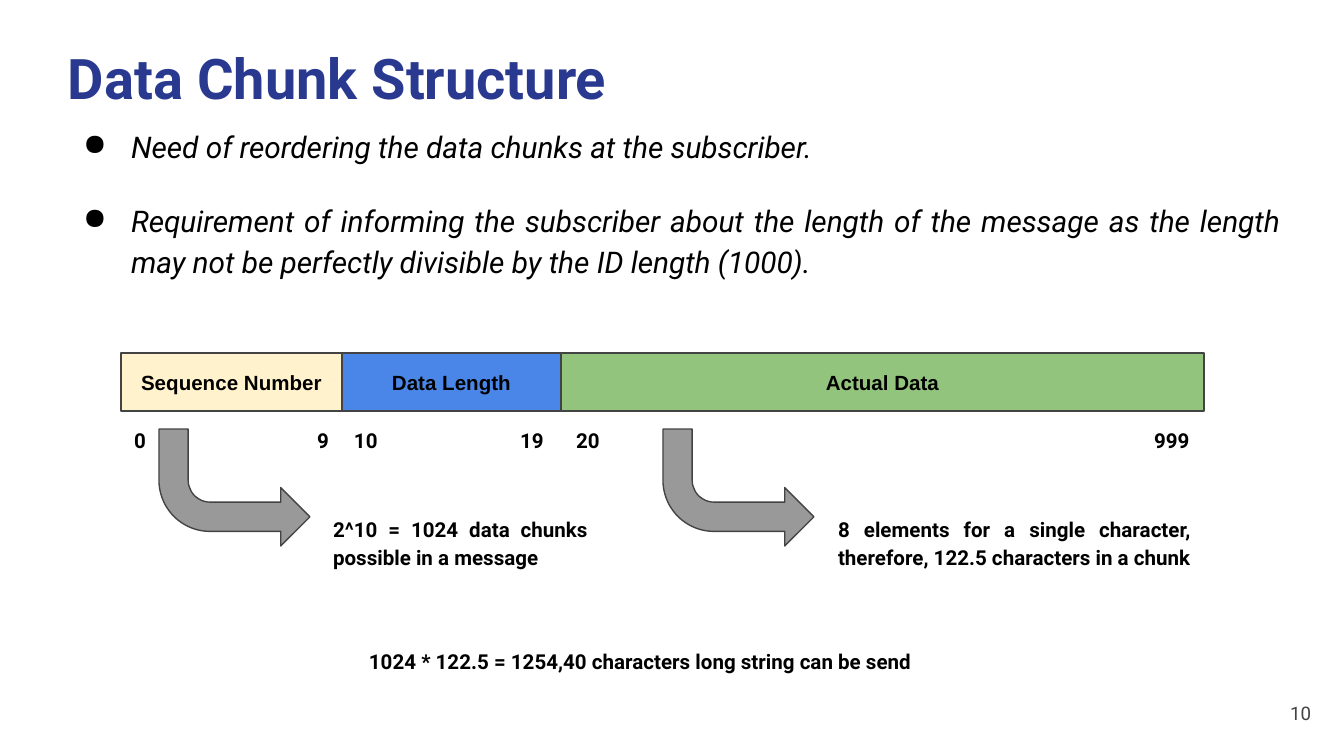
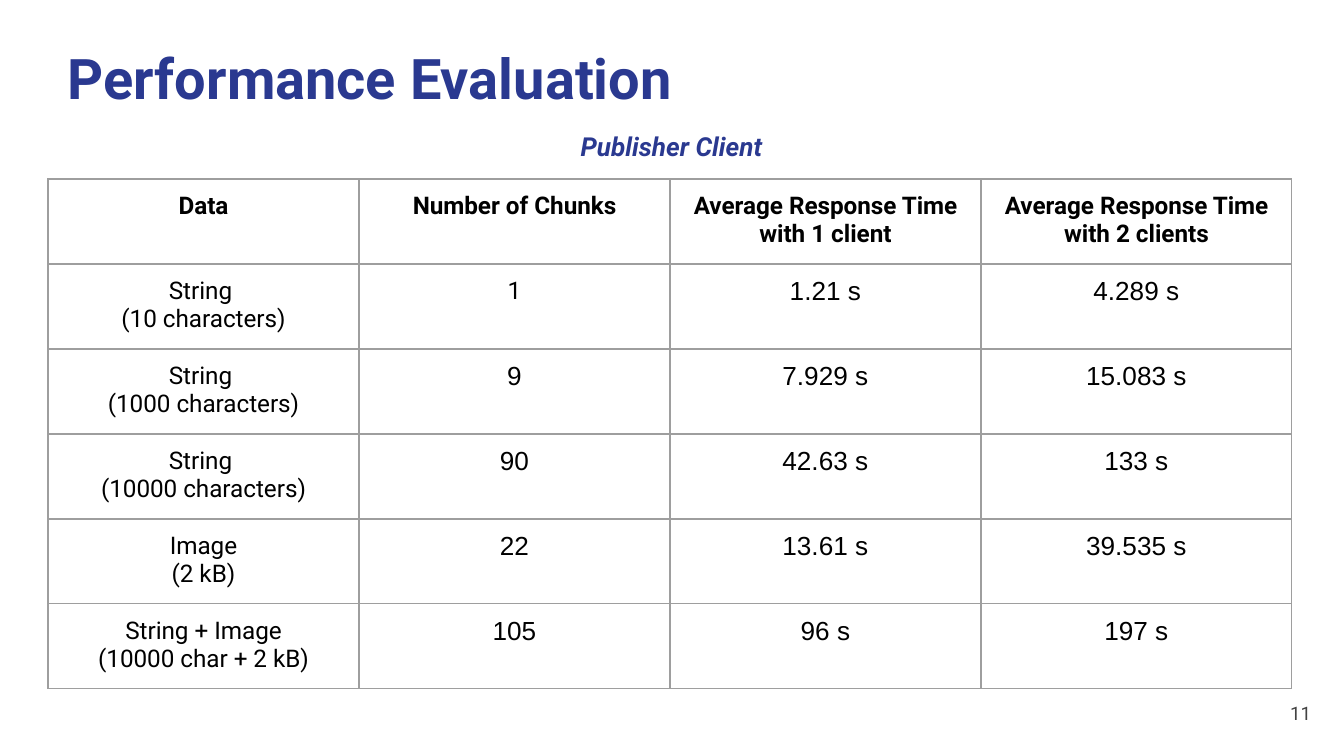
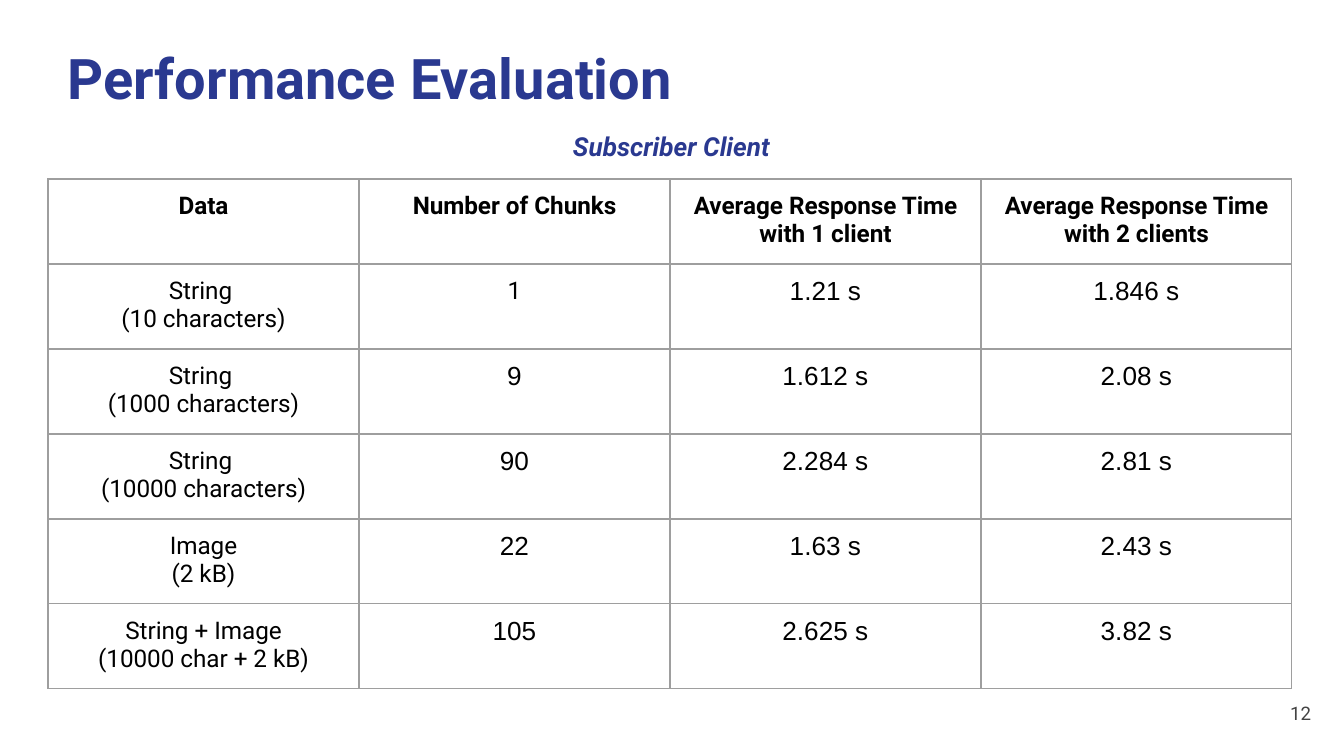
"""Build three slides on data chunk structure and client response times."""
import dataclasses

import lxml.etree
import pptx
import pptx.dml.color
import pptx.enum.shapes
import pptx.enum.text
import pptx.oxml.ns
import pptx.util

ALIGN = pptx.enum.text.PP_ALIGN
SHAPE = pptx.enum.shapes.MSO_SHAPE

CHUNK_TITLE = "Data Chunk Structure"
CHUNK_POINTS = [
    "Need of reordering the data chunks at the subscriber.",
    "Requirement of informing the subscriber about the length of the message "
    "as the length may not be perfectly divisible by the ID length (1000).",
]
FIELDS = [("Sequence Number", 221, "FFF2CC"), ("Data Length", 219, "4A86E8"),
          ("Actual Data", 643, "93C47D")]
BIT_INDEXES = [("0", 121, 39), ("9", 304, 39), ("10", 341, 54),
               ("19", 507, 54), ("20", 563, 54), ("999", 1141, 63)]
ARROW_LEFTS = [159, 663]
CHUNK_NOTES = [
    ("2^10 = 1024 data chunks possible in a message", (320, 500, 281, 81)),
    ("8 elements for a single character, therefore, 122.5 characters in a chunk",
     (825, 500, 379, 81)),
    ("1024 * 122.5 = 1254,40 characters long string can be send", (356, 632, 581, 52)),
]

RESULTS_TITLE = "Performance Evaluation"
HEADER = ["Data", "Number of Chunks", "Average Response Time\nwith 1 client",
          "Average Response Time\nwith 2 clients"]
PAYLOADS = [("String \n(10 characters)", "1"), ("String \n(1000 characters)", "9"),
            ("String \n(10000 characters)", "90"), ("Image\n(2 kB)", "22"),
            ("String + Image\n(10000 char + 2 kB)", "105")]
RESPONSE_TIMES = {
    "Publisher Client": [("1.21 s", "4.289 s"), ("7.929 s", "15.083 s"),
                         ("42.63 s", "133 s"), ("13.61 s", "39.535 s"),
                         ("96 s", "197 s")],
    "Subscriber Client": [("1.21 s", "1.846 s"), ("1.612 s", "2.08 s"),
                          ("2.284 s", "2.81 s"), ("1.63 s", "2.43 s"),
                          ("2.625 s", "3.82 s")],
}


@dataclasses.dataclass(frozen=True)
class Style:
    size: int
    name: str = "Roboto"
    color: str = "000000"
    bold: bool = False
    italic: bool = False


class Theme:
    background = "FFFFFF"
    outline = "434343"
    arrow = "999999"
    grid = "9E9E9E"
    line_width = 0.75
    title = Style(30, color="2A3990", bold=True)
    subtitle = Style(14, color="2A3990", bold=True, italic=True)
    number = Style(10, color="434343")
    bullet = Style(16, italic=True)
    field = Style(11, "Arial", bold=True)
    note = Style(11, bold=True)
    header = Style(13, bold=True)
    label = Style(13)
    value = Style(14, "Arial")


def px(n):
    return pptx.util.Emu(round(n * 9144000 / 1344))


def rgb(color):
    return pptx.dml.color.RGBColor.from_string(color)


def write(tf, text, style, align, spaced=False):
    tf.text = text
    for p in tf.paragraphs:
        p.alignment = align
        p.font.name, p.font.size = style.name, pptx.util.Pt(style.size)
        p.font.bold, p.font.italic = style.bold, style.italic
        p.font.color.rgb = rgb(style.color)
        if spaced:
            p.line_spacing = 1.15
            p.space_before = p.space_after = pptx.util.Pt(2)


def set_frame(tf, middle=False):
    tf.word_wrap = True
    tf.margin_left = tf.margin_right = tf.margin_top = tf.margin_bottom = px(13)
    anchor = pptx.enum.text.MSO_ANCHOR
    tf.vertical_anchor = anchor.MIDDLE if middle else anchor.TOP


def add_text(s, text, box, style, align, spaced=False, middle=False):
    tf = s.shapes.add_textbox(*map(px, box)).text_frame
    set_frame(tf, middle)
    if spaced:
        tf.auto_size = pptx.enum.text.MSO_AUTO_SIZE.SHAPE_TO_FIT_TEXT
    write(tf, text, style, align, spaced)
    return tf


def add_shape(s, kind, box, fill):
    sp = s.shapes.add_shape(kind, *map(px, box))
    sp.shadow.inherit = False
    sp.fill.solid()
    sp.fill.fore_color.rgb = rgb(fill)
    sp.line.color.rgb = rgb(Theme.outline)
    sp.line.width = pptx.util.Pt(Theme.line_width)
    return sp


def add_slide(prs, title, number):
    s = prs.slides.add_slide(prs.slide_layouts[6])
    s.background.fill.solid()
    s.background.fill.fore_color.rgb = rgb(Theme.background)
    add_text(s, title, (55, 31, 1243, 89), Theme.title, ALIGN.LEFT)
    add_text(s, str(number), (1243, 684, 81, 58), Theme.number, ALIGN.RIGHT, middle=True)
    return s


def add_bullets(s, points, box):
    tf = add_text(s, "\n".join(points), box, Theme.bullet, ALIGN.JUSTIFY, spaced=True)
    for p in tf.paragraphs:
        pPr = p._p.get_or_add_pPr()
        pPr.set("marL", str(px(67)))
        pPr.set("indent", str(px(-48)))
        bullet = lxml.etree.Element(pptx.oxml.ns.qn("a:buChar"), char="●")
        pPr.find(pptx.oxml.ns.qn("a:defRPr")).addprevious(bullet)
    for p in tf.paragraphs[1:]:
        p.space_before = pptx.util.Pt(15.5)


def add_chunk_slide(prs, number):
    s = add_slide(prs, CHUNK_TITLE, number)
    add_bullets(s, CHUNK_POINTS, (51, 110, 1243, 180))
    left = 121
    for name, width, fill in FIELDS:
        sp = add_shape(s, SHAPE.RECTANGLE, (left, 353, width, 58), fill)
        set_frame(sp.text_frame, middle=True)
        write(sp.text_frame, name, Theme.field, ALIGN.CENTER)
        left += width
    indexes = [(text, (x, 411, width, 52)) for text, x, width in BIT_INDEXES]
    for text, box in indexes + CHUNK_NOTES:
        add_text(s, text, box, Theme.note, ALIGN.JUSTIFY, spaced=True)
    for x in ARROW_LEFTS:
        sp = add_shape(s, SHAPE.BENT_ARROW, (x, 429, 151, 117), Theme.arrow)
        sp.rotation = 180
        sp.element.spPr.get_or_add_xfrm().set("flipH", "1")


def add_borders(cell):
    qn = pptx.oxml.ns.qn
    tcPr = cell._tc.get_or_add_tcPr()
    for side in ("a:lnL", "a:lnR", "a:lnT", "a:lnB"):
        ln = lxml.etree.SubElement(tcPr, qn(side), w=str(pptx.util.Pt(Theme.line_width)))
        fill = lxml.etree.SubElement(ln, qn("a:solidFill"))
        lxml.etree.SubElement(fill, qn("a:srgbClr"), val=Theme.grid)


def cell_style(row, col):
    if row == 0:
        return Theme.header
    return Theme.label if col == 0 or (row, col) == (1, 1) else Theme.value


def add_results_slide(prs, number, client, times):
    s = add_slide(prs, RESULTS_TITLE, number)
    rows = [HEADER] + [payload + pair for payload, pair in zip(PAYLOADS, times)]
    box = (48, 179, 311 * len(HEADER), 85 * len(rows))
    table = s.shapes.add_table(len(rows), len(HEADER), *map(px, box)).table
    table.first_row = table.horz_banding = False
    for r, row in enumerate(rows):
        for c, text in enumerate(row):
            cell = table.cell(r, c)
            cell.margin_left = cell.margin_right = px(13)
            cell.margin_top = cell.margin_bottom = px(13)
            add_borders(cell)
            cell.fill.background()
            write(cell.text_frame, text, cell_style(r, c), ALIGN.CENTER)
    add_text(s, client, (472, 113, 399, 59), Theme.subtitle, ALIGN.CENTER, spaced=True)


def main():
    prs = pptx.Presentation()
    prs.slide_width, prs.slide_height = px(1344), px(756)
    add_chunk_slide(prs, 10)
    for number, (client, times) in enumerate(RESPONSE_TIMES.items(), 11):
        add_results_slide(prs, number, client, times)
    prs.save("out.pptx")


if __name__ == "__main__":
    main()
